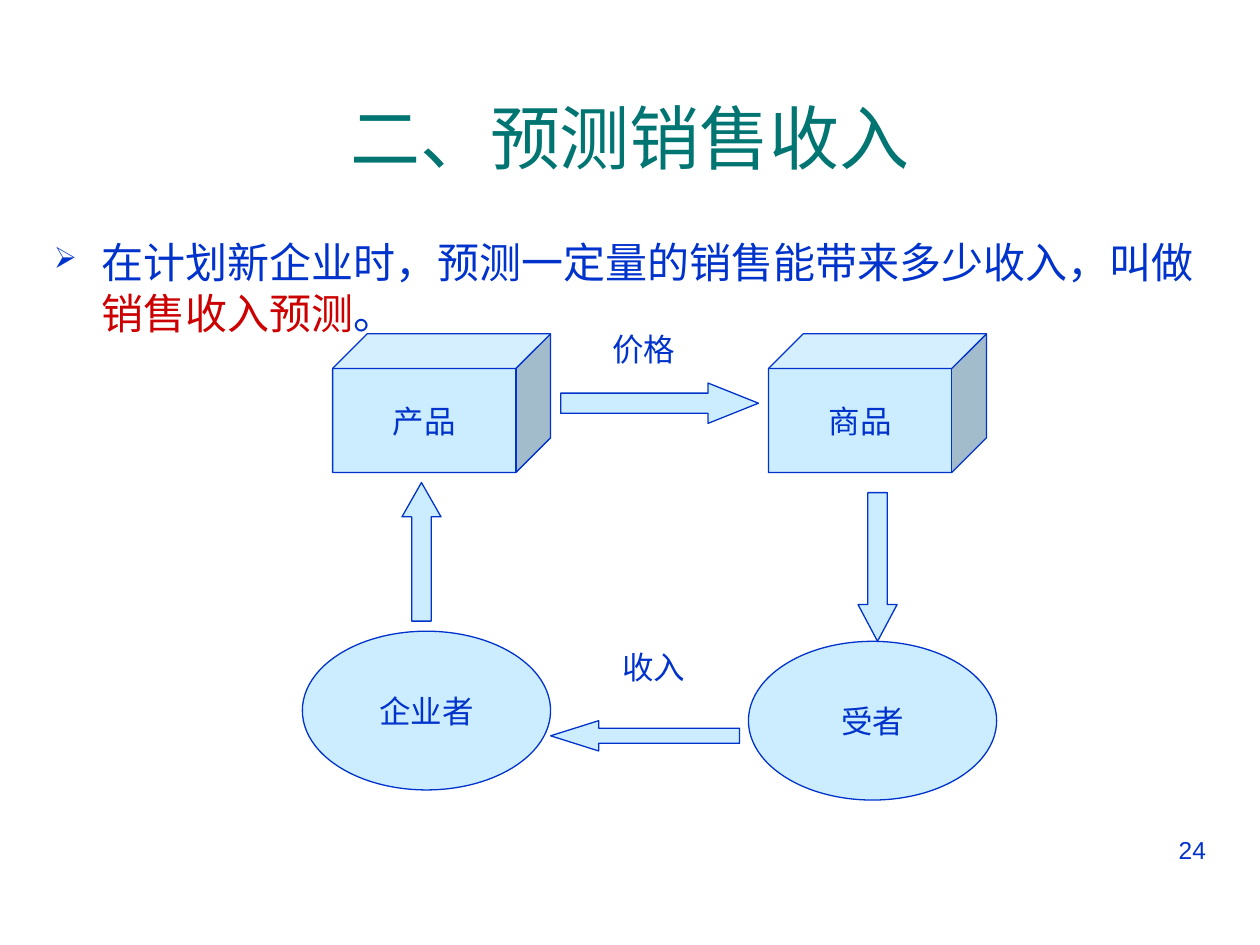
from typing import NamedTuple

from lxml import etree
from pptx import Presentation
from pptx.dml.color import RGBColor
from pptx.enum.shapes import MSO_SHAPE
from pptx.enum.text import MSO_ANCHOR, PP_ALIGN
from pptx.oxml.ns import qn
from pptx.util import Inches, Pt

LEFT, CENTER, RIGHT = PP_ALIGN.LEFT, PP_ALIGN.CENTER, PP_ALIGN.RIGHT
TOP, MIDDLE = MSO_ANCHOR.TOP, MSO_ANCHOR.MIDDLE
CUBE, OVAL = MSO_SHAPE.CUBE, MSO_SHAPE.OVAL
EAST, SOUTH = MSO_SHAPE.RIGHT_ARROW, MSO_SHAPE.DOWN_ARROW
WEST, NORTH = MSO_SHAPE.LEFT_ARROW, MSO_SHAPE.UP_ARROW
BLUE, PALE, TEAL, RED = "0033CC", "CCECFF", "007572", "CC0000"


class Box(NamedTuple):
    left: float
    top: float
    width: float
    height: float


class Node(NamedTuple):
    kind: MSO_SHAPE
    box: Box
    text: str


class Arrow(NamedTuple):
    kind: MSO_SHAPE
    box: Box
    head: float


class Label(NamedTuple):
    box: Box
    runs: list[tuple[str, str]]
    size: int
    align: PP_ALIGN = LEFT
    wrap: bool = True


CUBE_SIZE, OVAL_SIZE = (1.73, 1.1), (1.97, 1.26)
NODES = [
    Node(CUBE, Box(2.64, 2.65, *CUBE_SIZE), "产品"),
    Node(CUBE, Box(6.1, 2.65, *CUBE_SIZE), "商品"),
    Node(OVAL, Box(5.94, 5.09, *OVAL_SIZE), "受者"),
    Node(OVAL, Box(2.4, 5.01, *OVAL_SIZE), "企业者"),
]
ARROWS = [
    Arrow(EAST, Box(4.45, 3.04, 1.57, 0.32), 1.25),
    Arrow(SOUTH, Box(6.81, 3.91, 0.31, 1.18), 0.94),
    Arrow(NORTH, Box(3.19, 3.83, 0.31, 1.1), 0.88),
    Arrow(WEST, Box(4.37, 5.72, 1.5, 0.24), 1.59),
]
TITLE = Label(Box(0.33, 0.75, 9.34, 1.25), [("二、预测销售收入", TEAL)], 40, CENTER)
BODY = Label(Box(0.33, 1.83, 9.34, 4.58), [
    ("在计划新企业时，预测一定量的销售能带来多少收入，叫做", BLUE),
    ("销售收入预测", RED),
    ("。", BLUE),
], 24)
LABELS = [
    Label(Box(4.76, 2.57, 0.7, 0.4), [("价格", BLUE)], 18, wrap=False),
    Label(Box(4.84, 5.09, 0.7, 0.4), [("收入", BLUE)], 18, wrap=False),
    Label(Box(7.17, 6.58, 2.5, 0.52), [("24", BLUE)], 14, RIGHT),
]


def place(box: Box) -> list:
    return [Inches(side) for side in box]


def tint(code: str) -> RGBColor:
    return RGBColor.from_string(code)


def write(shape, runs, size, align, anchor, wrap) -> None:
    frame = shape.text_frame
    form = {"word_wrap": wrap, "vertical_anchor": anchor}
    for name, value in form.items():
        setattr(frame, name, value)
    para = frame.paragraphs[0]
    para.alignment = align
    for text, color in runs:
        run = para.add_run()
        run.text = text
        for name, value in {"name": "Arial", "size": Pt(size)}.items():
            setattr(run.font, name, value)
        run.font.color.rgb = tint(color)


def draw_label(slide, label: Label):
    shape = slide.shapes.add_textbox(*place(label.box))
    write(shape, label.runs, label.size, label.align, TOP, label.wrap)
    return shape


def draw_shape(slide, kind: MSO_SHAPE, box: Box):
    shape = slide.shapes.add_shape(kind, *place(box))
    shape.shadow.inherit = False
    shape.fill.solid()
    shape.fill.fore_color.rgb = tint(PALE)
    shape.line.color.rgb = tint(BLUE)
    shape.line.width = Pt(0.75)
    return shape


def draw_node(slide, node: Node) -> None:
    shape = draw_shape(slide, node.kind, node.box)
    write(shape, [(node.text, BLUE)], 18, CENTER, MIDDLE, False)


def draw_arrow(slide, arrow: Arrow) -> None:
    shape = draw_shape(slide, arrow.kind, arrow.box)
    shape.adjustments[0] = 0.5
    shape.adjustments[1] = arrow.head


def add_bullet(para) -> None:
    props = para._p.get_or_add_pPr()
    props.set("marL", str(Inches(0.38)))
    props.set("indent", str(-Inches(0.38)))
    color = etree.SubElement(props, qn("a:buClr"))
    etree.SubElement(color, qn("a:srgbClr"), val=BLUE)
    etree.SubElement(props, qn("a:buSzPct"), val="70000")
    etree.SubElement(props, qn("a:buChar"), char="➢")


def main() -> None:
    deck = Presentation()
    deck.slide_width, deck.slide_height = Inches(10), Inches(7.5)
    slide = deck.slides.add_slide(deck.slide_layouts[6])
    title = draw_label(slide, TITLE)
    title.text_frame.margin_top = 0
    body = draw_label(slide, BODY)
    add_bullet(body.text_frame.paragraphs[0])
    for node in NODES:
        draw_node(slide, node)
    for arrow in ARROWS:
        draw_arrow(slide, arrow)
    for label in LABELS:
        draw_label(slide, label)
    deck.save("out.pptx")


if __name__ == "__main__":
    main()
